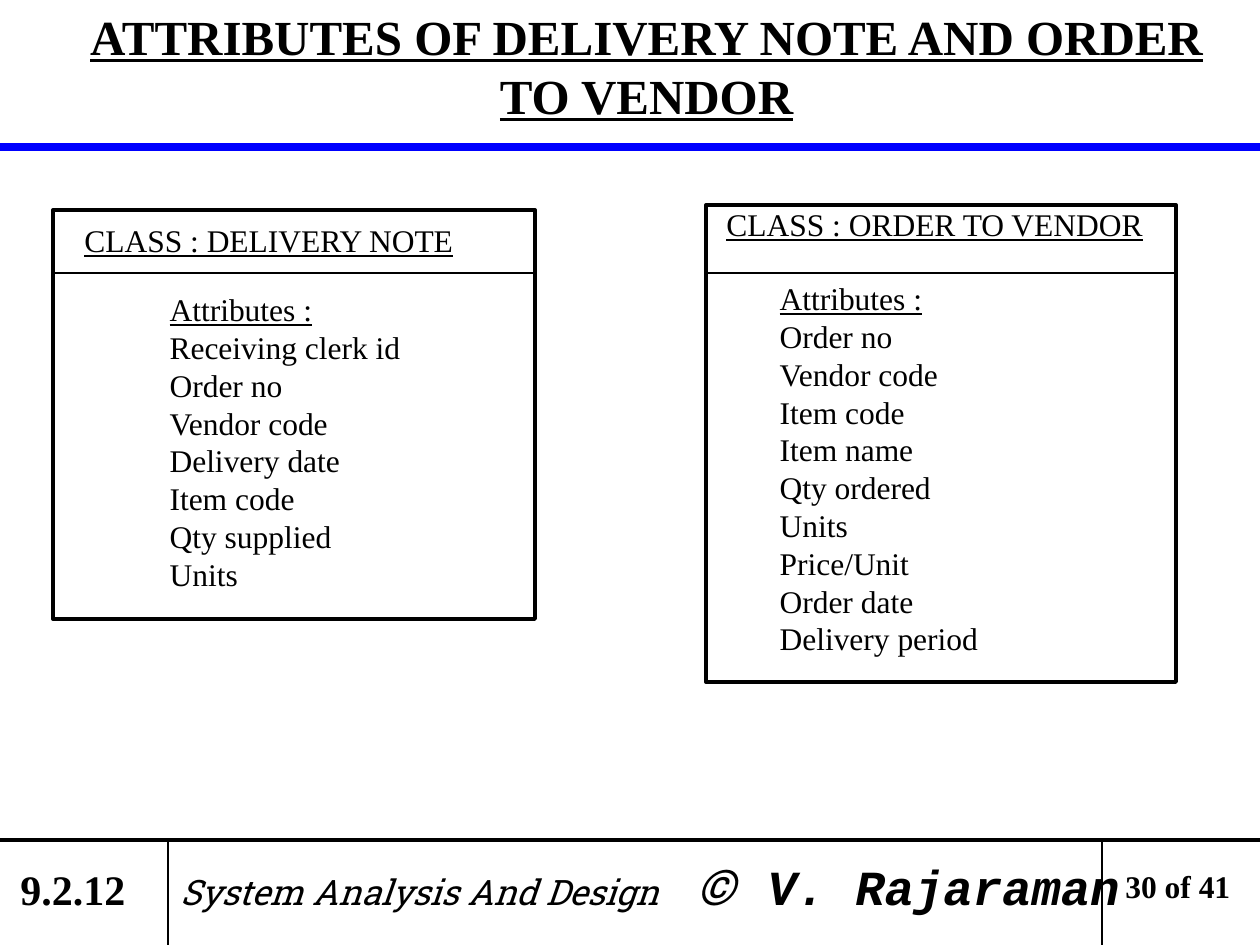
import dataclasses

import lxml.etree
import pptx
import pptx.dml.color
import pptx.enum.shapes
import pptx.enum.text
import pptx.oxml.ns
import pptx.util

PX = 914400 / 126


@dataclasses.dataclass(frozen=True)
class Theme:
    ink: str = "000000"
    accent: str = "0000FF"
    serif: str = "Times New Roman"
    slab: str = "Roboto Slab"
    mono: str = "Courier New"
    title: int = 28
    chapter: int = 24
    course: int = 20
    text: int = 18
    thick: float = 4.5
    medium: float = 2.25
    thin: float = 0.75


THEME = Theme()


def px(*lengths):
    return [round(length * PX) for length in lengths]


def add_xml(parent, tag, **attributes):
    return lxml.etree.SubElement(parent, pptx.oxml.ns.qn(tag), attributes)


def style(font, size=THEME.text, name=THEME.serif, **flags):
    font.size = pptx.util.Pt(size)
    font.name = name
    font.color.rgb = pptx.dml.color.RGBColor.from_string(THEME.ink)
    for flag, value in flags.items():
        setattr(font, flag, value)


def add_rule(page, start, end, width, color=THEME.ink):
    rule = page.shapes.add_connector(
        pptx.enum.shapes.MSO_CONNECTOR.STRAIGHT, *px(*start, *end))
    rule.line.width = pptx.util.Pt(width)
    rule.line.color.rgb = pptx.dml.color.RGBColor.from_string(color)
    add_xml(rule._element.spPr, "a:effectLst")


def add_frame(page, place):
    frame = page.shapes.add_shape(
        pptx.enum.shapes.MSO_SHAPE.RECTANGLE, *px(*place))
    frame.shadow.inherit = False
    frame.fill.background()
    frame.line.width = pptx.util.Pt(THEME.medium)
    frame.line.color.rgb = pptx.dml.color.RGBColor.from_string(THEME.ink)


def add_label(page, place, text, **look):
    box = page.shapes.add_textbox(*px(*place))
    box.text_frame.word_wrap = True
    para = box.text_frame.paragraphs[0]
    para.text = text
    style(para.runs[0].font, **look)


def place_placeholder(holder, place):
    holder.left, holder.top, holder.width, holder.height = px(*place)
    holder.text_frame.word_wrap = True
    holder.text_frame.auto_size = pptx.enum.text.MSO_AUTO_SIZE.NONE
    holder.text_frame.vertical_anchor = pptx.enum.text.MSO_ANCHOR.TOP


def fill_title(holder, text):
    place_placeholder(holder, (53, 0, 1187, 131))
    holder.text_frame.text = text
    para = holder.text_frame.paragraphs[0]
    para.alignment = pptx.enum.text.PP_ALIGN.CENTER
    style(para.runs[0].font, THEME.title, bold=True, underline=True)


def fill_attributes(holder, place, names):
    """List the attribute names, without bullets, under a heading."""
    place_placeholder(holder, place)
    holder.text_frame.text = "\n".join(["Attributes :", *names])
    for number, para in enumerate(holder.text_frame.paragraphs):
        properties = para._p.get_or_add_pPr()
        properties.set("marL", "0")
        properties.set("indent", "0")
        add_xml(properties, "a:buNone")
        para.space_before = pptx.util.Pt(0)
        style(para.runs[0].font, underline=number == 0)


def add_credit(page):
    box = page.shapes.add_textbox(*px(168, 850, 980, 72))
    box.text_frame.word_wrap = True
    para = box.text_frame.paragraphs[0]
    tabs = add_xml(para._p.get_or_add_pPr(), "a:tabLst")
    for stop in px(515, 587):
        add_xml(tabs, "a:tab", pos=str(stop), algn="l")
    spans = [
        ("System Analysis And Design\t", THEME.course, THEME.slab, False),
        ("©\t", THEME.title, THEME.slab, False),
        ("V. Rajaraman", THEME.title, THEME.mono, True),
    ]
    for text, size, name, bold in spans:
        span = para.add_run()
        span.text = text
        style(span.font, size, name, bold=bold, italic=True)


def add_footer(page):
    top, bottom = 840, 945
    add_rule(page, (0, top), (1260, top), THEME.medium)
    for x in (168, 1102):
        add_rule(page, (x, top), (x, bottom), THEME.thin)
    add_label(page, (8, 857, 150, 63), "9.2.12", size=THEME.chapter, bold=True)
    add_credit(page)
    add_label(page, (1113, 861, 140, 50), "30 of 41", bold=True)


def main():
    deck = pptx.Presentation()
    deck.slide_width, deck.slide_height = px(1260, 945)
    page = deck.slides.add_slide(deck.slide_layouts.get_by_name("Two Content"))
    title, delivery, order = page.placeholders

    fill_title(title, "ATTRIBUTES OF DELIVERY NOTE AND ORDER TO VENDOR")
    add_rule(page, (0, 147), (1260, 147), THEME.thick, THEME.accent)

    add_frame(page, (53, 210, 482, 409))
    add_label(page, (72, 215, 440, 50), "CLASS : DELIVERY NOTE", underline=True)
    add_rule(page, (53, 273), (535, 273), THEME.thin)
    fill_attributes(delivery, (157, 284, 300, 315), [
        "Receiving clerk id", "Order no", "Vendor code", "Delivery date",
        "Item code", "Qty supplied", "Units"])

    add_frame(page, (706, 205, 470, 477))
    add_label(page, (714, 199, 483, 50), "CLASS : ORDER TO VENDOR",
              underline=True)
    add_rule(page, (706, 273), (1176, 273), THEME.thin)
    fill_attributes(order, (767, 273, 300, 400), [
        "Order no", "Vendor code", "Item code", "Item name", "Qty ordered",
        "Units", "Price/Unit", "Order date", "Delivery period"])

    add_footer(page)
    deck.save("out.pptx")


if __name__ == "__main__":
    main()
